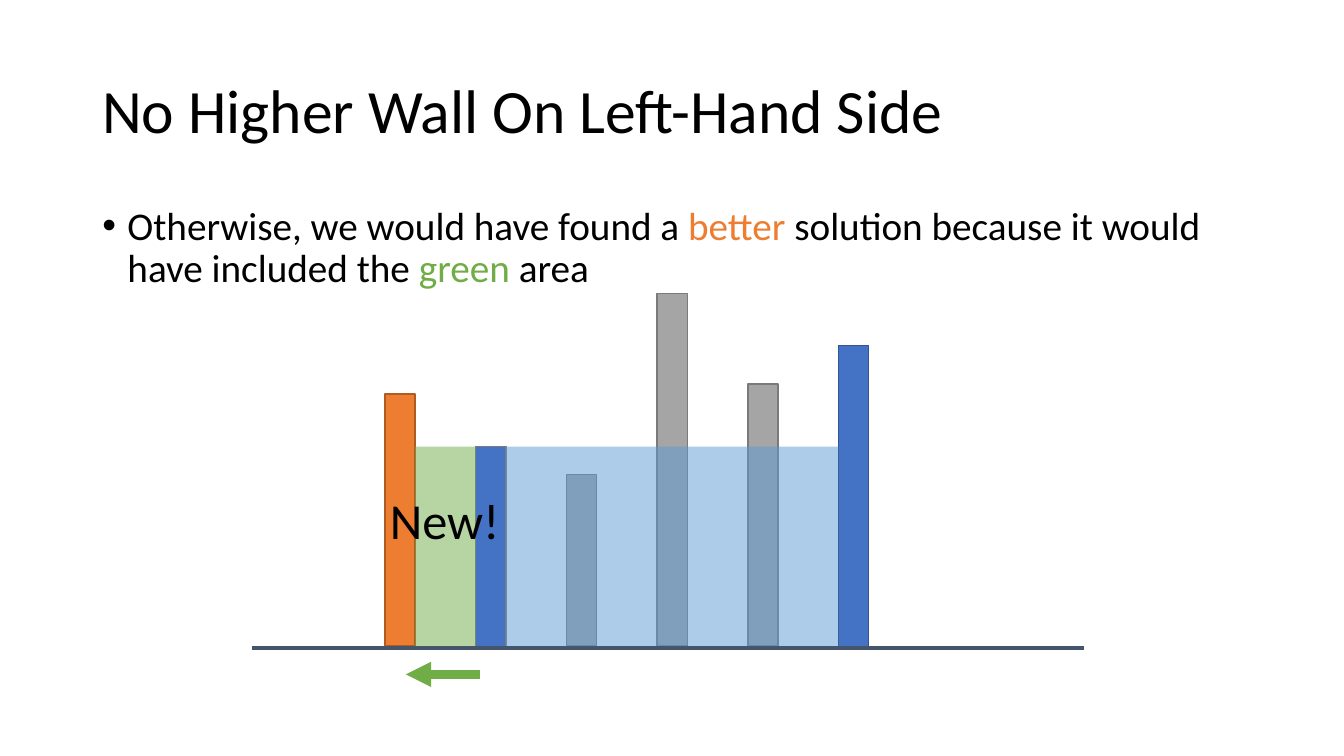
from lxml import etree
from pptx import Presentation
from pptx.dml.color import RGBColor
from pptx.enum.shapes import MSO_CONNECTOR as CONN, MSO_SHAPE as SHAPE
from pptx.enum.text import MSO_ANCHOR as ANCHOR
from pptx.oxml.ns import qn
from pptx.util import Pt

BLACK, ORANGE, GREEN, BLUE, GRAY = "000000", "ED7D31", "70AD47", "4472C4", "A5A5A5"
GRAY_EDGE = "7A7A7A"


def rgb(value):
    """Turn a hex string into a colour."""
    return RGBColor.from_string(value)


def child(parent, tag, **attrs):
    """Append a DrawingML element to a parent."""
    return etree.SubElement(parent, qn(tag), attrs)


def add_text(s, box, runs, size, wrap=True, anchor=ANCHOR.TOP, spacing=1.0):
    """Place one paragraph of coloured runs in a box."""
    tf = s.shapes.add_textbox(*map(Pt, box)).text_frame
    for name, value in {"word_wrap": wrap, "vertical_anchor": anchor}.items():
        setattr(tf, name, value)
    p = tf.paragraphs[0]
    p.line_spacing = spacing
    for text, colour in runs:
        r = p.add_run()
        r.text = text
        for name, value in {"name": "Calibri", "size": Pt(size)}.items():
            setattr(r.font, name, value)
        r.font.color.rgb = rgb(colour)
    return p


def add_rect(s, box, fill, edge=None, alpha=None):
    """Place a rectangle with an optional edge or opacity."""
    sp = s.shapes.add_shape(SHAPE.RECTANGLE, *map(Pt, box))
    sp.shadow.inherit = False
    sp.fill.solid()
    sp.fill.fore_color.rgb = rgb(fill)
    if edge:
        sp.line.color.rgb = rgb(edge)
        sp.line.width = Pt(1)
    else:
        sp.line.fill.background()
    if alpha:
        colour = sp.fill._xPr.find(qn("a:solidFill"))[0]
        child(colour, "a:alpha", val=str(alpha * 1000))


def add_line(s, x1, x2, y, colour, width, arrow=False):
    """Draw a level line, with an arrowhead at its end if asked."""
    line = s.shapes.add_connector(CONN.STRAIGHT, Pt(x1), Pt(y), Pt(x2), Pt(y))
    line.line.color.rgb = rgb(colour)
    line.line.width = Pt(width)
    if arrow:
        child(line.line._get_or_add_ln(), "a:tailEnd", type="triangle")
    child(line._element.spPr, "a:effectLst")


def add_title(s, box):
    """Write the slide title."""
    add_text(s, box, [("No Higher Wall On Left-Hand Side", BLACK)], 44,
             anchor=ANCHOR.MIDDLE, spacing=0.9)


def add_body(s, box):
    """Write the bulleted explanation."""
    runs = [("Otherwise, we would have found a ", BLACK), ("better", ORANGE),
            (" solution because it would have included the ", BLACK),
            ("green", GREEN), (" area", BLACK)]
    p = add_text(s, box, runs, 28, spacing=0.9)
    p.space_before = Pt(10)
    pPr = p._p.get_or_add_pPr()
    pPr.set("marL", str(Pt(18)))
    pPr.set("indent", str(-Pt(18)))
    child(pPr, "a:buFont", typeface="Arial")
    child(pPr, "a:buChar", char="•")


def add_walls(s, box):
    """Draw the walls, the water between them and the ground."""
    left, top, width, height = box
    ground = top + height
    base, wall, pitch, depth = ground - 1.5, 21.6, 64.8, 142.5
    xs = [left + 95 + pitch * i for i in range(6)]
    walls = [(180, ORANGE, "AF5C24", base), (144, BLUE, GRAY_EDGE, ground),
             (122.4, GRAY, GRAY_EDGE, base), (252, GRAY, GRAY_EDGE, base),
             (187.2, GRAY, GRAY_EDGE, base), (216, BLUE, "325491", ground)]
    for x, (tall, fill, edge, foot) in zip(xs, walls):
        add_rect(s, (x, foot - tall, wall, tall), fill, edge)
    add_line(s, left, left + width, ground, "44546A", 3)
    for first, last, colour in [(1, 5, "5B9BD5"), (0, 1, GREEN)]:
        start = xs[first] + wall
        add_rect(s, (start, base - depth, xs[last] - start, depth), colour, alpha=50)
    add_line(s, xs[1] + 3, xs[0] + 15, ground + 18.7, GREEN, 6, arrow=True)
    add_text(s, (xs[0] - 3.6, ground - 117.4, 93.6, 51), [("New!", BLACK)], 36, wrap=False)


def main():
    """Build and save the slide."""
    prs = Presentation()
    prs.slide_width, prs.slide_height = Pt(960), Pt(540)
    s = prs.slides.add_slide(prs.slide_layouts[6])
    add_title(s, (66, 28.8, 828, 104.4))
    add_body(s, (66, 144, 828, 342.7))
    add_walls(s, (180, 209.5, 594, 253.5))
    prs.save("out.pptx")


main()
